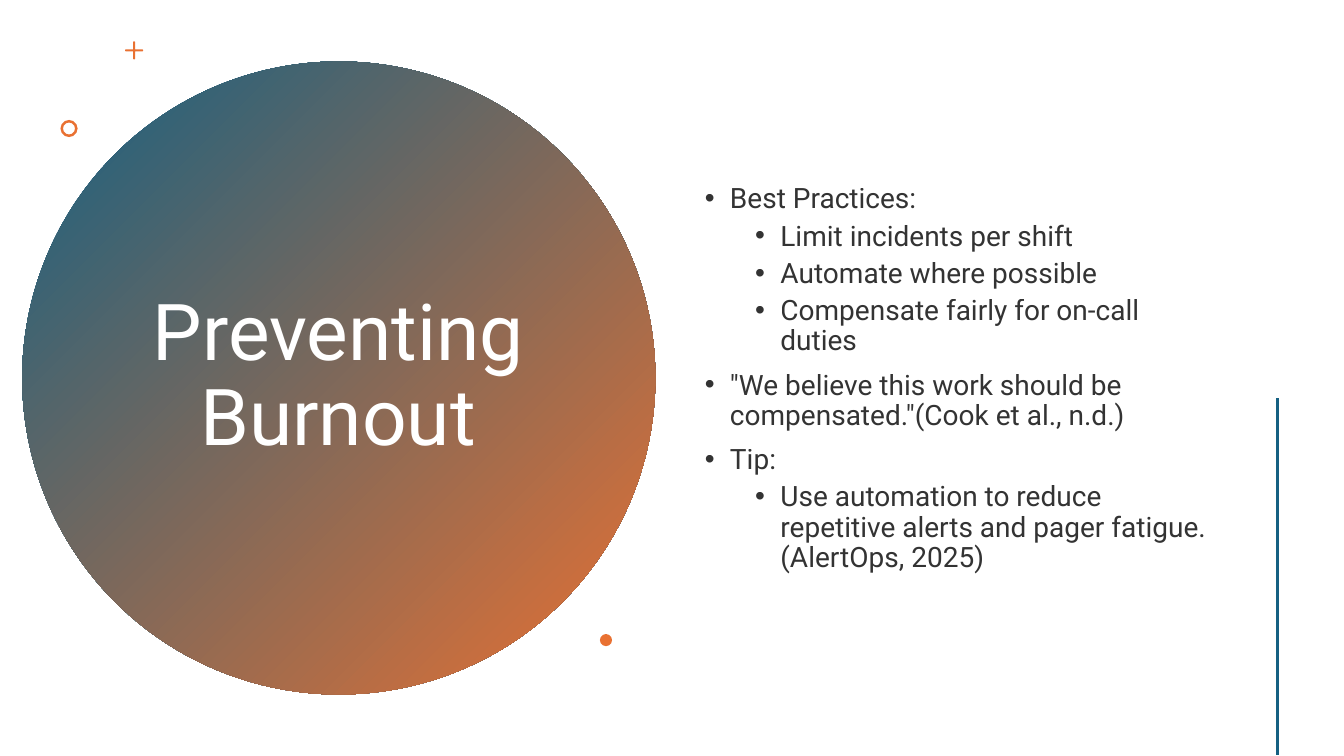
import math
from dataclasses import dataclass

from lxml import etree
from pptx import Presentation
from pptx.dml.color import RGBColor
from pptx.enum.shapes import MSO_CONNECTOR, MSO_SHAPE
from pptx.enum.text import MSO_ANCHOR, MSO_AUTO_SIZE, PP_ALIGN
from pptx.oxml.ns import qn
from pptx.util import Inches, Pt

OVAL = MSO_SHAPE.OVAL
DONUT = MSO_SHAPE.DONUT
STRAIGHT = MSO_CONNECTOR.STRAIGHT
MIDDLE = MSO_ANCHOR.MIDDLE
NO_AUTOFIT = MSO_AUTO_SIZE.NONE
CENTER = PP_ALIGN.CENTER


@dataclass(frozen=True)
class Theme:
    font: str = "Roboto"
    blue: RGBColor = RGBColor(0x15, 0x60, 0x82)
    orange: RGBColor = RGBColor(0xE9, 0x71, 0x32)
    white: RGBColor = RGBColor(0xFF, 0xFF, 0xFF)
    black: RGBColor = RGBColor(0, 0, 0)
    title_size: int = 56
    body_size: int = 20
    body_opacity: int = 80
    line_spacing: float = 0.9


@dataclass(frozen=True)
class Round:
    kind: MSO_SHAPE
    left: float
    top: float
    size: float


@dataclass(frozen=True)
class Bullet:
    text: str
    level: int = 0


THEME = Theme()
TITLE_DISC = Round(OVAL, 0.22, 0.61, 6.28)
RING = Round(DONUT, 0.6, 1.19, 0.17)
DOT = Round(OVAL, 5.95, 6.29, 0.12)
BULLETS = [
    Bullet("Best Practices:"),
    Bullet("Limit incidents per shift", 1),
    Bullet("Automate where possible", 1),
    Bullet("Compensate fairly for on-call duties", 1),
    Bullet('"We believe this work should be compensated."(Cook et al., n.d.)'),
    Bullet("Tip:"),
    Bullet("Use automation to reduce repetitive alerts and pager fatigue.(AlertOps, 2025)", 1),
]


def paint(shape, color: RGBColor) -> None:
    shape.shadow.inherit = False
    shape.fill.solid()
    shape.fill.fore_color.rgb = color
    shape.line.fill.background()


def add_round(page, item: Round):
    shape = page.shapes.add_shape(
        item.kind, Inches(item.left), Inches(item.top), Inches(item.size), Inches(item.size)
    )
    paint(shape, THEME.orange)
    return shape


def add_plus(page, center_x: float, center_y: float, reach: float, half_width: float) -> None:
    points = []
    for arm in range(4):
        heading = arm * math.pi / 2
        for step in range(-4, 5):
            turn = heading + step * math.pi / 8
            points.append((
                center_x + (reach - half_width) * math.cos(heading) + half_width * math.cos(turn),
                center_y + (reach - half_width) * math.sin(heading) + half_width * math.sin(turn),
            ))
        corner = heading + math.pi / 4
        points.append((
            center_x + half_width * math.sqrt(2) * math.cos(corner),
            center_y + half_width * math.sqrt(2) * math.sin(corner),
        ))
    outline = [(Inches(x), Inches(y)) for x, y in points]
    builder = page.shapes.build_freeform(*outline[0])
    builder.add_line_segments(outline[1:], close=True)
    paint(builder.convert_to_shape(), THEME.orange)


def place(box, left: float, top: float, width: float, height: float) -> None:
    box.left, box.top = Inches(left), Inches(top)
    box.width, box.height = Inches(width), Inches(height)
    box.text_frame.word_wrap = True
    box.text_frame.auto_size = NO_AUTOFIT
    box.text_frame.vertical_anchor = MIDDLE


def add_span(para, text: str, size: int, color: RGBColor):
    span = para.add_run()
    span.text = text
    span.font.name = THEME.font
    span.font.size = Pt(size)
    span.font.color.rgb = color
    return span


def add_bullet(para, bullet: Bullet, first: bool) -> None:
    para.level = bullet.level
    properties = para._p.get_or_add_pPr()
    properties.set("marL", str(Inches(0.25 + 0.5 * bullet.level)))
    properties.set("indent", str(Inches(-0.25)))
    etree.SubElement(properties, qn("a:buFont"), typeface="Arial")
    etree.SubElement(properties, qn("a:buChar"), char="•")
    para.line_spacing = THEME.line_spacing
    para.space_before = Pt(0 if first else 5 if bullet.level else 10)
    span = add_span(para, bullet.text, THEME.body_size, THEME.black)
    color = span.font._element.find(f"{qn('a:solidFill')}/{qn('a:srgbClr')}")
    etree.SubElement(color, qn("a:alpha"), val=str(THEME.body_opacity * 1000))


def add_rule(page, x: float, top: float, bottom: float) -> None:
    rule = page.shapes.add_connector(STRAIGHT, Inches(x), Inches(top), Inches(x), Inches(bottom))
    rule.line.color.rgb = THEME.blue
    rule.line.width = Pt(2)
    etree.SubElement(rule.element.spPr, qn("a:effectLst"))


def main() -> None:
    deck = Presentation()
    deck.slide_width, deck.slide_height = Inches(13.33), Inches(7.5)
    page = deck.slides.add_slide(deck.slide_layouts[1])
    title, body = page.shapes.title, page.placeholders[1]

    disc = add_round(page, TITLE_DISC)
    disc.fill.gradient()
    disc.fill.gradient_angle = 315
    for stop, color in zip(disc.fill.gradient_stops, (THEME.blue, THEME.orange)):
        stop.color.rgb = color

    page.shapes.element.append(title.element)
    place(title, 1.36, 1.41, 3.99, 4.67)
    heading = title.text_frame.paragraphs[0]
    heading.alignment = CENTER
    heading.line_spacing = THEME.line_spacing
    add_span(heading, "Preventing Burnout", THEME.title_size, THEME.white)

    add_plus(page, 1.33, 0.5, 0.09, 0.01)
    ring = add_round(page, RING)
    ring.adjustments[0] = 0.15

    page.shapes.element.append(body.element)
    place(body, 6.89, 0.57, 5.22, 6.38)
    frame = body.text_frame
    for index, bullet in enumerate(BULLETS):
        para = frame.add_paragraph() if index else frame.paragraphs[0]
        add_bullet(para, bullet, index == 0)

    add_round(page, DOT)
    add_rule(page, 12.67, 3.95, 7.49)
    deck.save("out.pptx")


if __name__ == "__main__":
    main()
